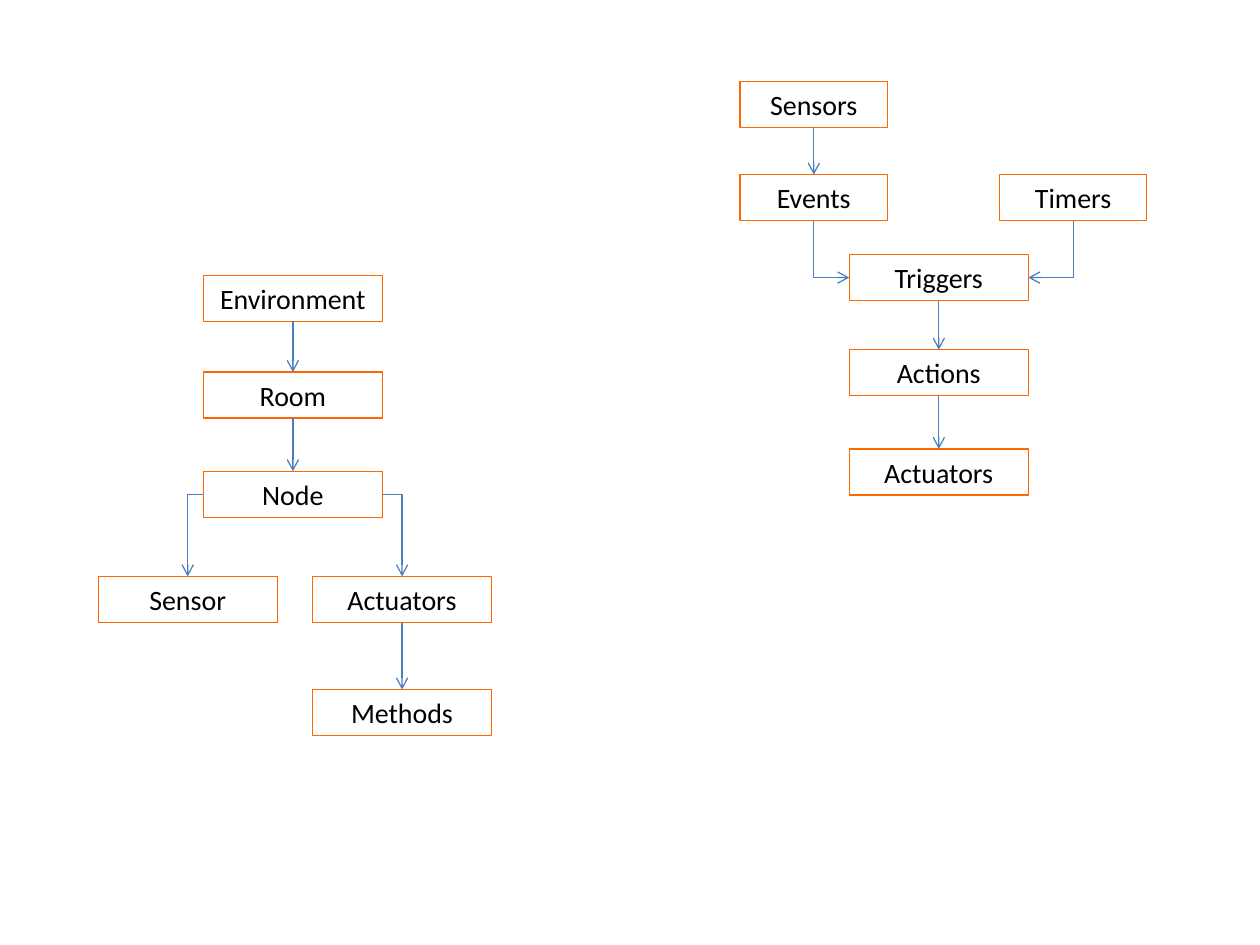
from lxml import etree
from pptx import Presentation
from pptx.dml.color import RGBColor
from pptx.enum.shapes import MSO_CONNECTOR, MSO_SHAPE
from pptx.enum.text import MSO_ANCHOR, PP_ALIGN
from pptx.oxml.ns import qn
from pptx.util import Cm, Pt

ORANGE = RGBColor(0xFF, 0x66, 0x00)
BLUE = RGBColor(0x4B, 0x7E, 0xBC)
BLACK = RGBColor(0, 0, 0)

BOX_HEIGHT = 0.93
NARROW, WIDE = 2.97, 3.61
TOP, LEFT, BOTTOM, RIGHT = range(4)  # connection sites of a rectangle


class Diagram:
    """Holds the style and the slide, and draws boxes and arrows in groups."""

    font, size, line_width = "Calibri", Pt(16), Pt(0.75)

    def __init__(self, slide):
        """Remember the slide to draw on."""
        self.slide = slide
        self.shapes = slide.shapes

    def start_group(self):
        """Collect the following elements in a new group."""
        self.shapes = self.slide.shapes.add_group_shape().shapes

    def box(self, text, left, top, width):
        """Add an outlined box with centred text."""
        box = self.shapes.add_shape(MSO_SHAPE.RECTANGLE, Cm(left), Cm(top),
                                    Cm(width), Cm(BOX_HEIGHT))
        box.shadow.inherit = False
        box.fill.background()
        box.line.color.rgb = ORANGE
        box.line.width = self.line_width
        frame = box.text_frame
        frame.word_wrap = True
        frame.vertical_anchor = MSO_ANCHOR.MIDDLE
        paragraph = frame.paragraphs[0]
        paragraph.alignment = PP_ALIGN.CENTER
        run = paragraph.add_run()
        run.text = text
        run.font.name, run.font.size = self.font, self.size
        run.font.color.rgb = BLACK
        return box

    def arrow(self, source, target, start=BOTTOM, end=TOP):
        """Connect two boxes, with one bend where the directions differ."""
        bent = (start in (LEFT, RIGHT)) != (end in (LEFT, RIGHT))
        kind = MSO_CONNECTOR.ELBOW if bent else MSO_CONNECTOR.STRAIGHT
        arrow = self.shapes.add_connector(kind, source.left, source.top,
                                          target.left, target.top)
        arrow.begin_connect(source, start)
        arrow.end_connect(target, end)
        arrow.line.color.rgb = BLUE
        arrow.line.width = self.line_width
        if bent:
            self.bend(arrow, vertical_first=start == BOTTOM)
        etree.SubElement(arrow.line._get_or_add_ln(), qn("a:tailEnd"), type="arrow")
        etree.SubElement(arrow._element.spPr, qn("a:effectLst"))

    def bend(self, arrow, vertical_first):
        """Give a downward connector a single right-angled bend."""
        properties = arrow._element.spPr
        properties.find(qn("a:prstGeom")).set("prst", "bentConnector2")
        if not vertical_first:
            return
        to_right = arrow.end_x > arrow.begin_x
        left, top, width, height = arrow.left, arrow.top, arrow.width, arrow.height
        # A quarter turn swaps the sides around the same centre.
        arrow.left = left + (width - height) // 2
        arrow.top = top + (height - width) // 2
        arrow.width, arrow.height = height, width
        frame = properties.find(qn("a:xfrm"))
        frame.set("rot", str((270 if to_right else 90) * 60000))
        frame.set("flipH", "1" if to_right else "0")


def draw_event_flow(diagram):
    """Draw the chain from sensors and timers to actuators."""
    diagram.start_group()
    sensors = diagram.box("Sensors", 14.92, 1.64, NARROW)
    events = diagram.box("Events", 14.92, 3.52, NARROW)
    timers = diagram.box("Timers", 20.15, 3.52, NARROW)
    triggers, actions, actuators = [
        diagram.box(text, 17.12, top, WIDE)
        for text, top in (("Triggers", 5.13), ("Actions", 7.05), ("Actuators", 9.05))]
    diagram.arrow(sensors, events)
    diagram.arrow(events, triggers, end=LEFT)
    diagram.arrow(timers, triggers, end=RIGHT)
    diagram.arrow(triggers, actions)
    diagram.arrow(actions, actuators)


def draw_structure(diagram):
    """Draw the hierarchy from environment to methods."""
    diagram.start_group()
    environment, room, node = [
        diagram.box(text, 4.1, top, WIDE)
        for text, top in (("Environment", 5.55), ("Room", 7.5), ("Node", 9.5))]
    sensor = diagram.box("Sensor", 1.98, 11.62, WIDE)
    actuators = diagram.box("Actuators", 6.3, 11.62, WIDE)
    methods = diagram.box("Methods", 6.3, 13.9, WIDE)
    diagram.arrow(environment, room)
    diagram.arrow(room, node)
    diagram.arrow(node, sensor, start=LEFT)
    diagram.arrow(node, actuators, start=RIGHT)
    diagram.arrow(actuators, methods)


presentation = Presentation()
presentation.slide_width, presentation.slide_height = Cm(25.4), Cm(19.05)
diagram = Diagram(presentation.slides.add_slide(presentation.slide_layouts[6]))
draw_event_flow(diagram)
draw_structure(diagram)
presentation.save("out.pptx")
